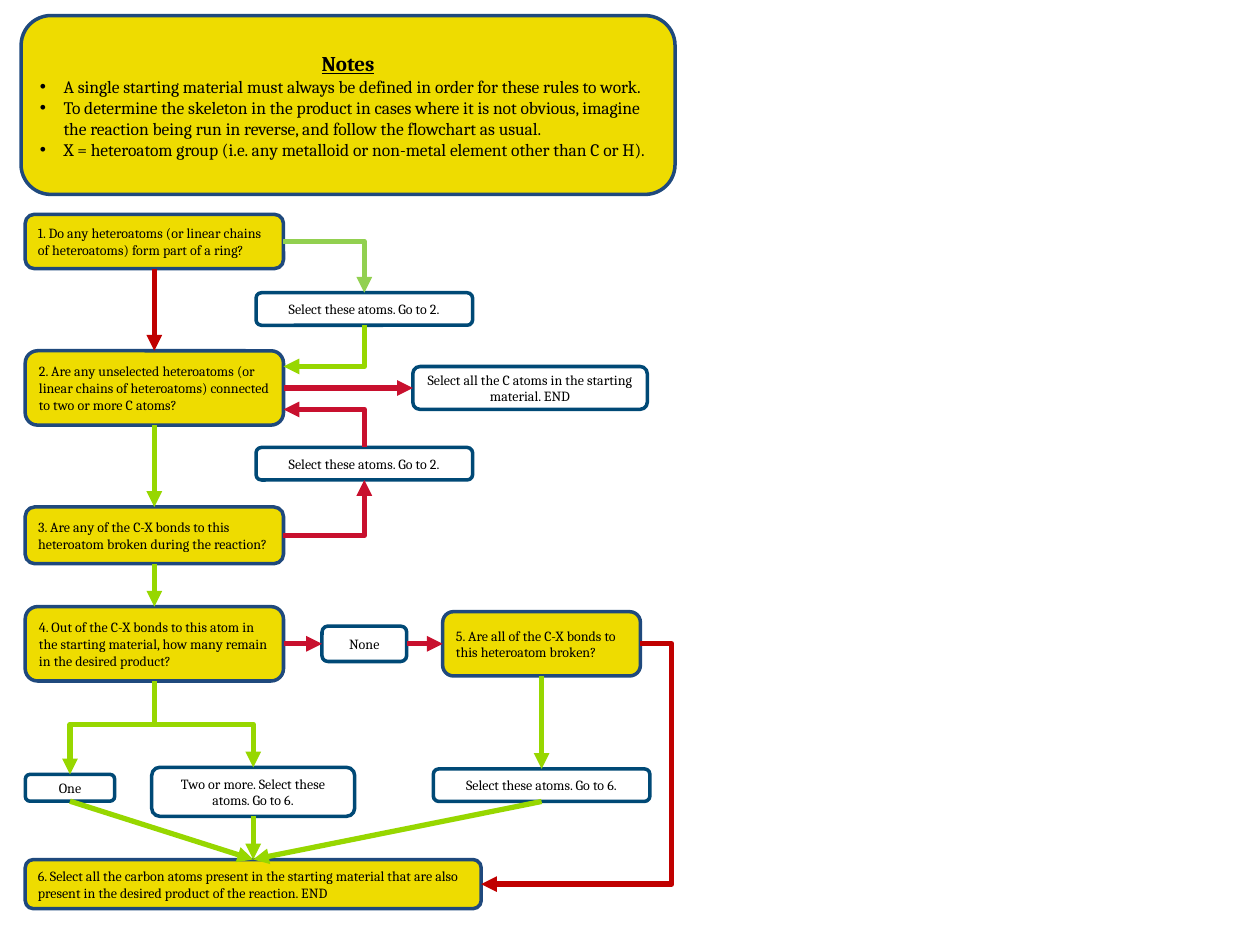
from lxml import etree
from pptx import Presentation
from pptx.dml.color import RGBColor
from pptx.enum.shapes import MSO_CONNECTOR, MSO_SHAPE
from pptx.enum.text import MSO_ANCHOR, PP_ALIGN
from pptx.oxml.ns import qn
from pptx.util import Pt

ROUNDED = MSO_SHAPE.ROUNDED_RECTANGLE
STRAIGHT, ELBOW = MSO_CONNECTOR.STRAIGHT, MSO_CONNECTOR.ELBOW
LEFT_ALIGN, CENTER_ALIGN = PP_ALIGN.LEFT, PP_ALIGN.CENTER
MIDDLE = MSO_ANCHOR.MIDDLE
TOP, LEFT, BOTTOM, RIGHT = range(4)  # connection sites

FONT = "Cambria"
YELLOW, NAVY, WHITE, TEAL, BLACK = "EEDC00", "1F497D", "FFFFFF", "004976", "000000"
GREEN, PALE_GREEN, RED, DARK_RED = "97D700", "92D050", "C8102E", "C00000"

# Centre lines shared by several boxes
QUESTION_X, SIDE_X, BROKEN_X, RESULT_X = 88.2, 208.2, 309.5, 144.7
CONNECTED_Y, COUNT_Y = 221.7, 367.9

# name: (centre x, centre y, width, height, text)
QUESTIONS = {
    "ring": (QUESTION_X, 138, 147.6, 31,
             "1. Do any heteroatoms (or linear chains of heteroatoms) form part of a ring?"),
    "connected": (QUESTION_X, CONNECTED_Y, 147.6, 42.5,
                  "2. Are any unselected heteroatoms (or linear chains of heteroatoms) "
                  "connected to two or more C atoms?"),
    "bonds": (QUESTION_X, 305.9, 147.6, 32.4,
              "3. Are any of the C-X bonds to this heteroatom broken during the reaction?"),
    "count": (QUESTION_X, COUNT_Y, 147.6, 42.5,
              "4. Out of the C-X bonds to this atom in the starting material, "
              "how many remain in the desired product?"),
    "all broken": (BROKEN_X, COUNT_Y, 113, 36.7,
                   "5. Are all of the C-X bonds to this heteroatom broken?"),
    "final": (RESULT_X, 505.2, 260.6, 28.1,
              "6. Select all the carbon atoms present in the starting material that are "
              "also present in the desired product of the reaction. END"),
}
ANSWERS = {
    "select ring": (SIDE_X, 176.6, 123.8, 18.6, "Select these atoms. Go to 2."),
    "select unbroken": (SIDE_X, 265, 123.8, 18.6, "Select these atoms. Go to 2."),
    "all carbons": (302.9, CONNECTED_Y, 134, 24.5,
                    "Select all the C atoms in the starting material. END"),
    "none": (SIDE_X, COUNT_Y, 48.4, 20.2, "None"),
    "one": (40, 450.2, 51, 15.3, "One"),
    "two": (RESULT_X, 452.5, 116, 28, "Two or more. Select these atoms. Go to 6."),
    "select broken": (BROKEN_X, 448.7, 123.8, 18.6, "Select these atoms. Go to 6."),
}
NOTES_BOX = (198.9, 60, 373.7, 102.2)
NOTES_TITLE = "Notes"
NOTES = [
    "A single starting material must always be defined in order for these rules to work.",
    "To determine the skeleton in the product in cases where it is not obvious, imagine "
    "the reaction being run in reverse, and follow the flowchart as usual.",
    "X = heteroatom group (i.e. any metalloid or non-metal element other than C or H).",
]

# from, site, to, site, colour
STRAIGHT_ARROWS = [
    ("ring", BOTTOM, "connected", TOP, DARK_RED),
    ("connected", RIGHT, "all carbons", LEFT, RED),
    ("connected", BOTTOM, "bonds", TOP, GREEN),
    ("bonds", BOTTOM, "count", TOP, GREEN),
    ("count", RIGHT, "none", LEFT, RED),
    ("none", RIGHT, "all broken", LEFT, RED),
    ("all broken", BOTTOM, "select broken", TOP, GREEN),
    ("one", BOTTOM, "final", TOP, GREEN),
    ("two", BOTTOM, "final", TOP, GREEN),
    ("select broken", BOTTOM, "final", TOP, GREEN),
]
# from, site, to, site, colour, shift of the end in y, distance to first of two bends
BENT_ARROWS = [
    ("ring", RIGHT, "select ring", TOP, PALE_GREEN, 0, None),
    ("select ring", BOTTOM, "connected", RIGHT, GREEN, -12.3, None),
    ("bonds", RIGHT, "select unbroken", BOTTOM, RED, 0, None),
    ("select unbroken", TOP, "connected", RIGHT, RED, 12.3, None),
    ("count", BOTTOM, "one", TOP, GREEN, 0, 24.7),
    ("count", BOTTOM, "two", TOP, GREEN, 0, 24.7),
    ("all broken", RIGHT, "final", RIGHT, DARK_RED, 0, 18),
]


def rgb(color):
    return RGBColor.from_string(color)


def add_box(slide, center_x, center_y, width, height, fill, line):
    shape = slide.shapes.add_shape(ROUNDED, Pt(center_x - width / 2),
                                   Pt(center_y - height / 2), Pt(width), Pt(height))
    shape.shadow.inherit = False
    shape.fill.solid()
    shape.fill.fore_color.rgb = rgb(fill)
    shape.line.color.rgb = rgb(line)
    shape.line.width = Pt(2)
    frame_format = dict(word_wrap=True, vertical_anchor=MIDDLE, margin_left=Pt(5.8),
                        margin_right=Pt(5.8), margin_top=Pt(2.9), margin_bottom=Pt(2.9))
    for name, value in frame_format.items():
        setattr(shape.text_frame, name, value)
    return shape


def write(paragraph, text, size, alignment, **font_format):
    paragraph.alignment = alignment
    run = paragraph.add_run()
    run.text = text
    run.font.color.rgb = rgb(BLACK)
    for name, value in dict(name=FONT, size=Pt(size), **font_format).items():
        setattr(run.font, name, value)


def add_notes(slide):
    frame = add_box(slide, *NOTES_BOX, YELLOW, NAVY).text_frame
    write(frame.paragraphs[0], NOTES_TITLE, 12, CENTER_ALIGN, bold=True, underline=True)
    for note in NOTES:
        paragraph = frame.add_paragraph()
        write(paragraph, note, 10, LEFT_ALIGN)
        properties = paragraph._p.get_or_add_pPr()
        properties.set("marL", str(Pt(13.5)))
        properties.set("indent", str(-Pt(13.5)))
        etree.SubElement(properties, qn("a:buFont"), typeface="Arial")
        etree.SubElement(properties, qn("a:buChar"), char="•")


def style_arrow(connector, color):
    connector.line.color.rgb = rgb(color)
    connector.line.width = Pt(3)
    properties = connector._element.spPr
    etree.SubElement(properties.find(qn("a:ln")), qn("a:tailEnd"), type="triangle")
    etree.SubElement(properties, qn("a:effectLst"))


def site_point(box, site):
    x, y, width, height = box[:4]
    return [(x, y - height / 2), (x - width / 2, y),
            (x, y + height / 2), (x + width / 2, y)][site]


def add_bent_arrow(slide, start, end, vertical_first, color, bend):
    """Elbow leaving along one axis; a vertical start needs a turned frame."""
    dx, dy = end[0] - start[0], end[1] - start[1]
    travel = dy if vertical_first else dx
    rotation = 0
    if vertical_first:
        rotation = 90 if dx < 0 < dy else 270
        dx, dy = (dy, -dx) if rotation == 90 else (-dy, dx)
    middle_x, middle_y = (start[0] + end[0]) / 2, (start[1] + end[1]) / 2
    connector = slide.shapes.add_connector(
        ELBOW, Pt(middle_x - dx / 2), Pt(middle_y - dy / 2),
        Pt(middle_x + dx / 2), Pt(middle_y + dy / 2))
    properties = connector._element.spPr
    if rotation:
        properties.find(qn("a:xfrm")).set("rot", str(rotation * 60000))
    geometry = properties.find(qn("a:prstGeom"))
    if bend is None:
        geometry.set("prst", "bentConnector2")
    else:
        etree.SubElement(geometry.find(qn("a:avLst")), qn("a:gd"), name="adj1",
                         fmla=f"val {round(bend / travel * 100000)}")
    style_arrow(connector, color)


def main():
    presentation = Presentation()
    presentation.slide_width, presentation.slide_height = Pt(720), Pt(540)
    slide = presentation.slides.add_slide(presentation.slide_layouts[6])

    shapes = {}
    for boxes, fill, line, alignment in ((QUESTIONS, YELLOW, NAVY, LEFT_ALIGN),
                                         (ANSWERS, WHITE, TEAL, CENTER_ALIGN)):
        for name, (*place, text) in boxes.items():
            shapes[name] = add_box(slide, *place, fill, line)
            write(shapes[name].text_frame.paragraphs[0], text, 8, alignment)

    for source, source_site, target, target_site, color in STRAIGHT_ARROWS:
        connector = slide.shapes.add_connector(STRAIGHT, 0, 0, 0, 0)
        connector.begin_connect(shapes[source], source_site)
        connector.end_connect(shapes[target], target_site)
        style_arrow(connector, color)

    places = {**QUESTIONS, **ANSWERS}
    for source, source_site, target, target_site, color, shift, bend in BENT_ARROWS:
        end_x, end_y = site_point(places[target], target_site)
        add_bent_arrow(slide, site_point(places[source], source_site),
                       (end_x, end_y + shift), source_site in (TOP, BOTTOM), color, bend)

    add_notes(slide)
    presentation.save("out.pptx")


if __name__ == "__main__":
    main()
